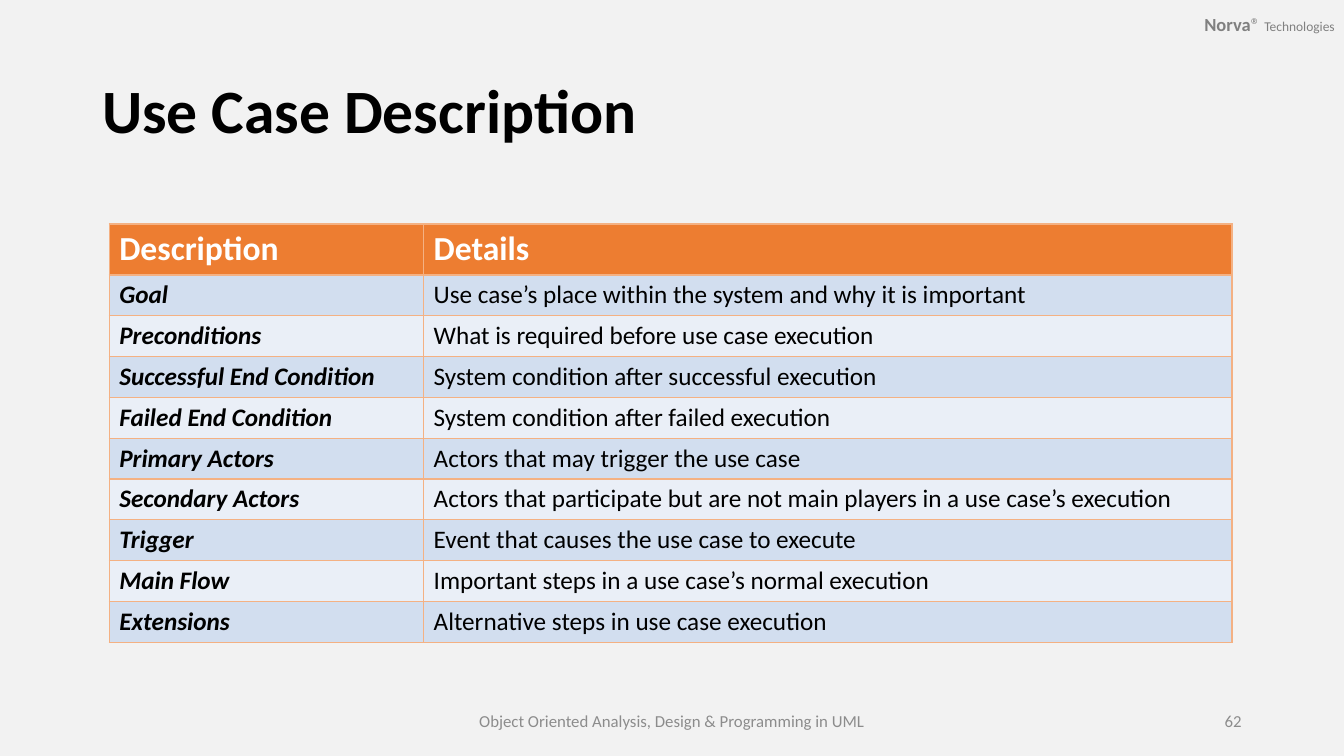
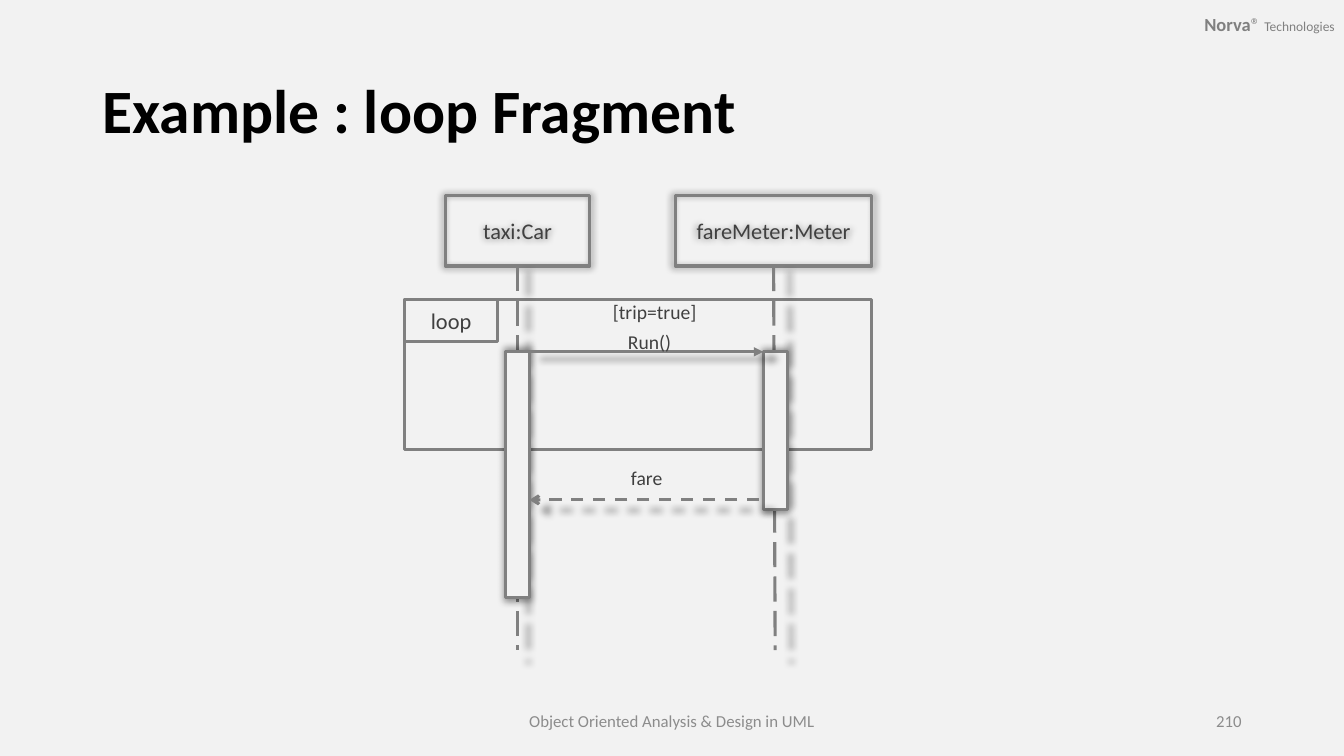
import lxml.etree
import pptx
import pptx.dml.color
import pptx.enum.dml
import pptx.enum.shapes
import pptx.enum.text
import pptx.oxml
import pptx.oxml.ns
import pptx.util

Pt = pptx.util.Pt
RGB = pptx.dml.color.RGBColor.from_string
ALIGN = pptx.enum.text.PP_ALIGN
DASH = pptx.enum.dml.MSO_LINE
RECTANGLE = pptx.enum.shapes.MSO_SHAPE.RECTANGLE
STRAIGHT = pptx.enum.shapes.MSO_CONNECTOR.STRAIGHT
NAMESPACE = pptx.oxml.ns.nsdecls("a")

FONT = "Calibri"
COLORS = {
    "background": "F2F2F2",
    "title": "000000",
    "brand": "808080",
    "footer": "8C8C8C",
    "line": "808080",
    "label": "404040",
    "header": "ED7D31",
    "header_text": "FFFFFF",
    "band_dark": "D2DEEF",
    "band_light": "EAEFF7",
    "border": "F4B183",
}
SHADOW = (
    f'<a:effectLst {NAMESPACE}><a:outerShdw blurRad="{Pt(5)}" sx="102000" sy="102000" '
    'algn="ctr" rotWithShape="0"><a:srgbClr val="000000"><a:alpha val="40000"/>'
    "</a:srgbClr></a:outerShdw></a:effectLst>"
)


def write(frame, runs, color, align=ALIGN.LEFT):
    """Fill a text frame with one paragraph of (text, size, bold, italic) runs."""
    frame.word_wrap = True
    frame.vertical_anchor = pptx.enum.text.MSO_ANCHOR.MIDDLE
    para = frame.paragraphs[0]
    para.alignment = align
    for text, size, bold, italic in runs:
        span = para.add_run()
        span.text = text
        span.font.name = FONT
        span.font.size = Pt(size)
        span.font.bold = bold
        span.font.italic = italic
        span.font.color.rgb = RGB(COLORS[color])
    return para


def draw_line(shape, dash=None, arrow=None, shadow=True):
    """Style an outline or connector, with an optional arrowhead and soft shadow."""
    shape.line.color.rgb = RGB(COLORS["line"])
    shape.line.width = Pt(2.25)
    if dash:
        shape.line.dash_style = dash
    properties = shape._element.spPr
    if arrow:
        line = properties.find(pptx.oxml.ns.qn("a:ln"))
        lxml.etree.SubElement(line, pptx.oxml.ns.qn("a:tailEnd"), type=arrow)
    effect = SHADOW if shadow else f"<a:effectLst {NAMESPACE}/>"
    properties.append(pptx.oxml.parse_xml(effect))


deck = pptx.Presentation()
deck.slide_width = Pt(960)
deck.slide_height = Pt(540)

# Shared frame of both slides
brand_runs = [("Norva", 13.2, True, False), ("® ", 13.2, False, False),
              ("Technologies", 9.6, False, False)]
pages = []
for title, footer, number in [
    ("Use Case Description", "Object Oriented Analysis, Design & Programming in UML", "62"),
    ("Example : loop Fragment", "Object Oriented Analysis & Design in UML", "210"),
]:
    page = deck.slides.add_slide(deck.slide_layouts[6])
    page.background.fill.solid()
    page.background.fill.fore_color.rgb = RGB(COLORS["background"])
    for place, runs, color, align in [
        ((821.5, 0.7, 139, 32.4), brand_runs, "brand", ALIGN.RIGHT),
        ((66, 28.8, 828, 104.4), [(title, 44, True, False)], "title", ALIGN.LEFT),
        ((318, 500.5, 324, 28.8), [(footer, 12, False, False)], "footer", ALIGN.CENTER),
        ((678, 500.5, 216, 28.8), [(number, 12, False, False)], "footer", ALIGN.RIGHT),
    ]:
        box = page.shapes.add_textbox(*map(Pt, place))
        para = write(box.text_frame, runs, color, align)
        if color == "title":
            para.line_spacing = 0.9
    pages.append(page)
table_page, diagram_page = pages

# Use case table
rows = [
    ("Description", "Details"),
    ("Goal", "Use case’s place within the system and why it is important"),
    ("Preconditions", "What is required before use case execution"),
    ("Successful End Condition", "System condition after successful execution"),
    ("Failed End Condition", "System condition after failed execution"),
    ("Primary Actors", "Actors that may trigger the use case"),
    ("Secondary Actors",
     "Actors that participate but are not main players in a use case’s execution"),
    ("Trigger", "Event that causes the use case to execute"),
    ("Main Flow", "Important steps in a use case’s normal execution"),
    ("Extensions", "Alternative steps in use case execution"),
]
header_height, row_height = 36.4, 29.15
table = table_page.shapes.add_table(
    len(rows), 2, Pt(78), Pt(160), Pt(802),
    Pt(header_height + row_height * (len(rows) - 1))).table
for column, width in zip(table.columns, (224.6, 577.4)):
    column.width = Pt(width)
for row_index, texts in enumerate(rows):
    is_header = row_index == 0
    table.rows[row_index].height = Pt(header_height if is_header else row_height)
    band = "header" if is_header else "band_dark" if row_index % 2 else "band_light"
    for column_index, text in enumerate(texts):
        cell = table.cell(row_index, column_index)
        is_name = column_index == 0
        write(cell.text_frame,
              [(text, 24 if is_header else 18, is_header or is_name, is_name and not is_header)],
              "header_text" if is_header else "title")
        for side in ("lnL", "lnR", "lnT", "lnB"):
            cell._tc.get_or_add_tcPr().append(pptx.oxml.parse_xml(
                f'<a:{side} {NAMESPACE} w="{Pt(1)}"><a:solidFill>'
                f'<a:srgbClr val="{COLORS["border"]}"/></a:solidFill></a:{side}>'))
        cell.fill.solid()
        cell.fill.fore_color.rgb = RGB(COLORS[band])

# Loop fragment: tag and frame
shapes = diagram_page.shapes
for width, height, text in [(67, 30.2, "loop"), (334, 107.3, "")]:
    fragment = shapes.add_shape(RECTANGLE, Pt(288.7), Pt(213.8), Pt(width), Pt(height))
    fragment.fill.background()
    draw_line(fragment, shadow=False)
    if text:
        write(fragment.text_frame, [(text, 16, False, False)], "label", ALIGN.CENTER)

# Participants with lifelines and activation bars
head_top, head_height = 139.7, 50.4
lifeline_bottom = 464.4
bar_top, bar_width = 251.3, 17
for name, left, width, lifeline_end, bar_left, bar_height in [
    ("taxi:Car", 318.2, 103, 369.7, 361.2, 175.7),
    ("fareMeter:Meter", 482.4, 140.4, 553.7, 545.6, 113),
]:
    head = shapes.add_shape(RECTANGLE, Pt(left), Pt(head_top), Pt(width), Pt(head_height))
    head.fill.background()
    draw_line(head)
    write(head.text_frame, [(name, 16, False, False)], "label", ALIGN.CENTER)

    lifeline = shapes.add_connector(STRAIGHT, Pt(left + width / 2), Pt(head_top + head_height),
                                    Pt(lifeline_end), Pt(lifeline_bottom))
    lifeline.begin_connect(head, 2)
    draw_line(lifeline, DASH.LONG_DASH)

    bar = shapes.add_shape(RECTANGLE, Pt(bar_left), Pt(bar_top), Pt(bar_width), Pt(bar_height))
    bar.fill.solid()
    bar.fill.fore_color.rgb = RGB(COLORS["background"])
    draw_line(bar)

# Messages between the bars
for start, end, top, dash, arrow in [
    (378.2, 545.2, bar_top, None, "triangle"),
    (542.2, 378.2, 357.1, DASH.DASH, "arrow"),
]:
    message = shapes.add_connector(STRAIGHT, Pt(start), Pt(top), Pt(end), Pt(top))
    draw_line(message, dash, arrow)

for text, left, top, width in [
    ("[trip=true]", 427, 210.2, 81.4),
    ("Run()", 393.8, 231.8, 140.4),
    ("fare", 391.7, 329, 140.4),
]:
    label = shapes.add_textbox(Pt(left), Pt(top), Pt(width), Pt(24.5))
    write(label.text_frame, [(text, 14, False, False)], "label", ALIGN.CENTER)

deck.save("out.pptx")
